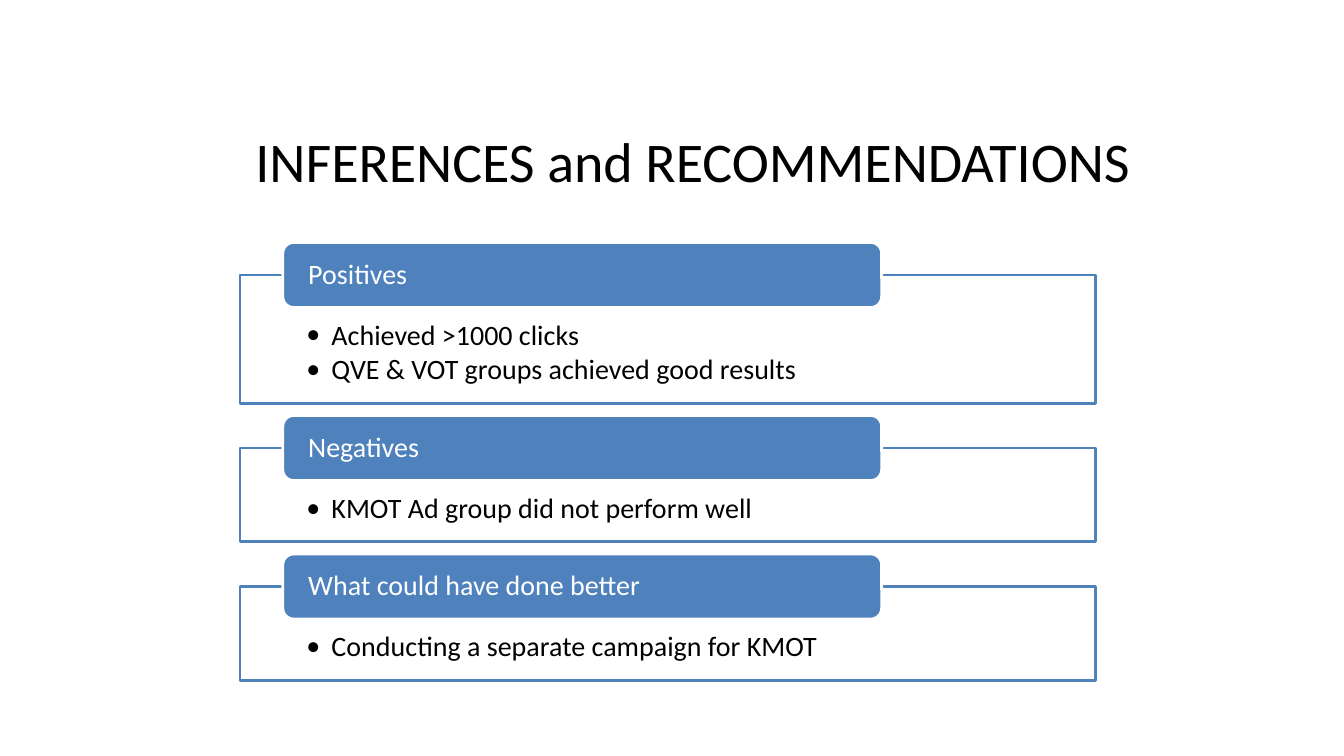
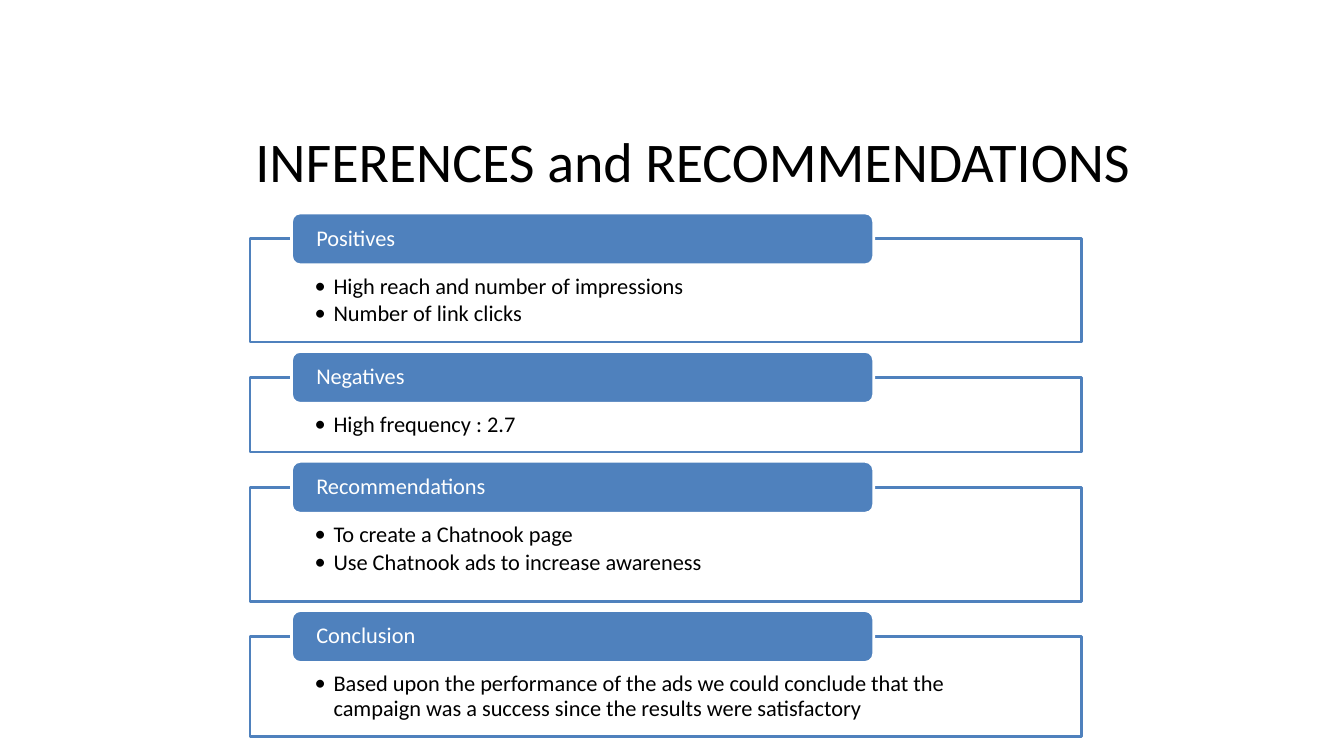
import pptx
import pptx.dml.color
import pptx.enum.shapes
import pptx.enum.text
import pptx.oxml.ns
import pptx.util
from lxml import etree

Cm = pptx.util.Cm
Pt = pptx.util.Pt
RGBColor = pptx.dml.color.RGBColor
Shapes = pptx.enum.shapes.MSO_SHAPE
Align = pptx.enum.text.PP_ALIGN
Anchor = pptx.enum.text.MSO_ANCHOR

BLUE = RGBColor(0x4F, 0x81, 0xBD)
WHITE = RGBColor(0xFF, 0xFF, 0xFF)
BLACK = RGBColor(0x00, 0x00, 0x00)
FONT = "Calibri"
TITLE = "INFERENCES and RECOMMENDATIONS"
TITLE_ONLY = 5

PAGES = [
    {
        "left": 6.05, "top": 6.93, "width": 21.56, "gap": 1.13,
        "tab_height": 1.64, "size": 20, "indent": 0.63, "insets": (1.16, 0.4),
        "sections": [
            ("Positives", 3.23, ["Achieved >1000 clicks",
                                 "QVE & VOT groups achieved good results"]),
            ("Negatives", 2.36, ["KMOT Ad group did not perform well"]),
            ("What could have done better", 2.36,
             ["Conducting a separate campaign for KMOT"]),
        ],
    },
    {
        "left": 6.3, "top": 6.02, "width": 20.96, "gap": 0.89,
        "tab_height": 1.31, "size": 16, "indent": 0.48, "insets": (0.91, 0.31),
        "sections": [
            ("Positives", 2.6, ["High reach and number of impressions",
                                "Number of link clicks"]),
            ("Negatives", 1.88, ["High frequency : 2.7"]),
            ("Recommendations", 2.87, ["To create a Chatnook page",
                                       "Use Chatnook ads to increase awareness"]),
            ("Conclusion", 2.52,
             ["Based upon the performance of the ads we could conclude that the "
              "campaign was a success since the results were satisfactory"]),
        ],
    },
]


def add_bullet(para, indent):
    properties = para._p.get_or_add_pPr()
    properties.set("marL", str(Cm(indent)))
    properties.set("indent", str(-Cm(indent)))
    font = etree.SubElement(properties, pptx.oxml.ns.qn("a:buFont"))
    font.set("typeface", FONT)
    bullet = etree.SubElement(properties, pptx.oxml.ns.qn("a:buChar"))
    bullet.set("char", "•")


def write_text(box, lines, *, size, color, insets, align=Align.LEFT,
               anchor=Anchor.MIDDLE, wrap=True, line_spacing=1.0,
               space_after=0, indent=None):
    frame = box.text_frame
    frame.word_wrap = wrap
    frame.vertical_anchor = anchor
    (frame.margin_left, frame.margin_top,
     frame.margin_right, frame.margin_bottom) = map(Cm, insets)
    for index, line in enumerate(lines):
        para = frame.add_paragraph() if index else frame.paragraphs[0]
        para.alignment = align
        para.line_spacing = line_spacing
        para.space_before = Pt(0)
        para.space_after = Pt(space_after)
        if indent is not None:
            add_bullet(para, indent)
        span = para.add_run()
        span.text = line
        span.font.name = FONT
        span.font.size = Pt(size)
        span.font.color.rgb = color


def add_box(page, preset, left, top, width, height, fill, line):
    box = page.shapes.add_shape(preset, Cm(left), Cm(top), Cm(width), Cm(height))
    box.shadow.inherit = False
    box.fill.solid()
    box.fill.fore_color.rgb = fill
    box.line.color.rgb = line
    box.line.width = Pt(2)
    return box


def add_title(page):
    title = page.shapes.title
    title.left, title.top = Cm(6.05), Cm(3.05)
    title.width, title.height = Cm(22.81), Cm(1.96)
    write_text(title, [TITLE], size=40, color=BLACK, align=Align.CENTER,
               insets=(0.25, 0.13, 0.25, 0.13), wrap=False)


def add_section(page, layout, top, heading, height, bullets):
    left, width, size = layout["left"], layout["width"], layout["size"]
    tab_height = layout["tab_height"]
    inset_top, inset_bottom = layout["insets"]
    side = width * 0.08 - 0.05
    panel = add_box(page, Shapes.RECTANGLE, left, top, width, height, WHITE, BLUE)
    write_text(panel, bullets, size=size, color=BLACK, anchor=Anchor.TOP,
               insets=(side, inset_top, side, inset_bottom),
               line_spacing=0.9, space_after=size * 0.15, indent=layout["indent"])
    tab = add_box(page, Shapes.ROUNDED_RECTANGLE, left + width * 0.05,
                  top - tab_height / 2, width * 0.7, tab_height, BLUE, WHITE)
    write_text(tab, [heading], size=size, color=WHITE,
               insets=(0.56, 0, 0.56, 0), line_spacing=0.9)


def add_page(deck, layout):
    page = deck.slides.add_slide(deck.slide_layouts[TITLE_ONLY])
    add_title(page)
    top = layout["top"]
    for heading, height, bullets in layout["sections"]:
        add_section(page, layout, top, heading, height, bullets)
        top += height + layout["gap"]


def main():
    deck = pptx.Presentation()
    deck.slide_width, deck.slide_height = Cm(33.87), Cm(19.05)
    for layout in PAGES:
        add_page(deck, layout)
    deck.save("out.pptx")


if __name__ == "__main__":
    main()
